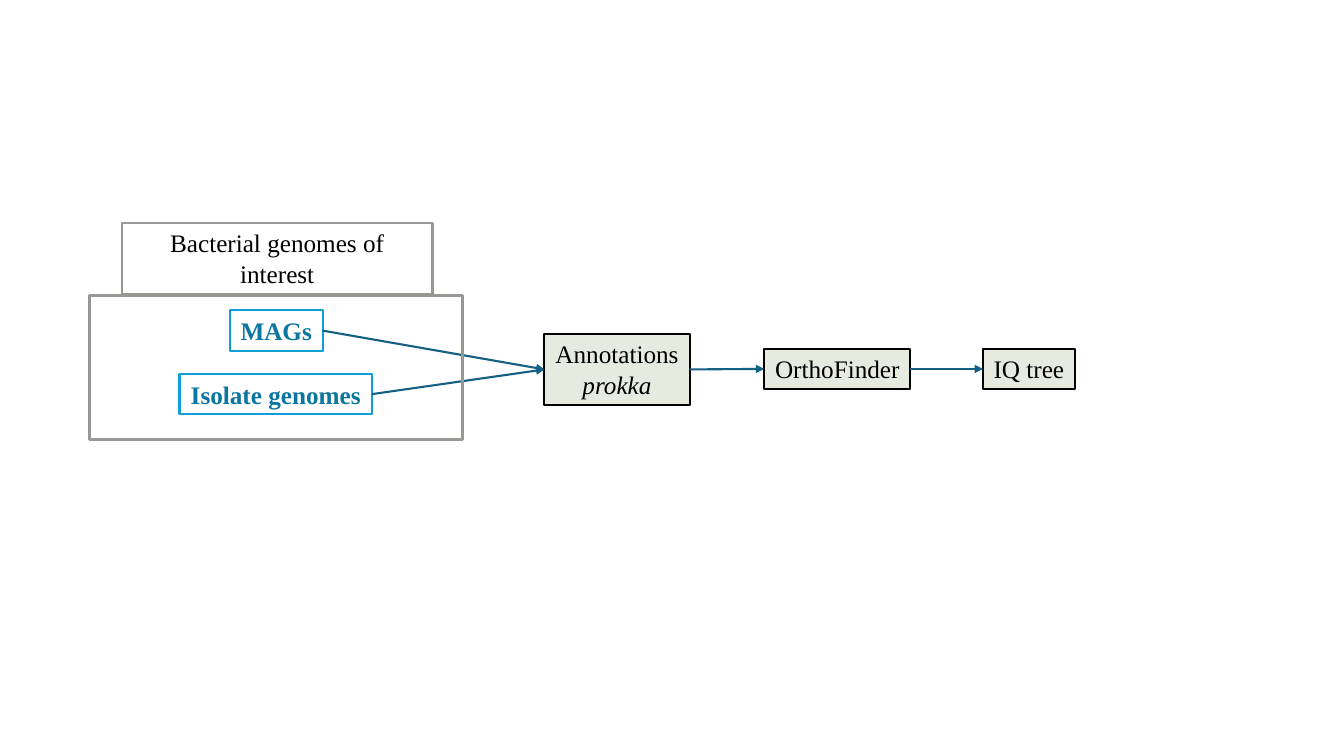
from pptx import Presentation
from pptx.dml.color import RGBColor
from pptx.enum.shapes import MSO_CONNECTOR, MSO_SHAPE
from pptx.enum.text import MSO_ANCHOR, MSO_AUTO_SIZE, PP_ALIGN
from pptx.oxml.ns import qn
from pptx.util import Inches, Pt
from lxml.etree import SubElement


def color(hex_code):
    return RGBColor.from_string(hex_code)


prs = Presentation()
prs.slide_width, prs.slide_height = Inches(13.33), Inches(7.5)
s = prs.slides.add_slide(prs.slide_layouts[6])

# Box styles: fill, line, text colour, bold, wrap
source = ("FFFFFF", "0F9ED5", "0B76A0", True, False)
step = ("E7EBDF", "000000", "000000", False, False)
heading = (None, "959893", "000000", False, True)

# Labelled boxes: lines of text, left, top, width, height, style
boxes = [
    (["MAGs"], 2.28, 3.08, 0.92, 0.4, source),
    (["Isolate genomes"], 1.78, 3.71, 1.91, 0.4, source),
    (["Annotations", "prokka"], 5.4, 3.31, 1.44, 0.71, step),
    (["OrthoFinder"], 7.58, 3.46, 1.45, 0.4, step),
    (["IQ tree"], 9.75, 3.46, 0.91, 0.4, step),
    (["Bacterial genomes of interest"], 1.21, 2.21, 3.08, 0.71, heading),
]
shapes = {}
for lines, left, top, width, height, style in boxes:
    fill, line, ink, bold, wrap = style
    sp = s.shapes.add_textbox(Inches(left), Inches(top), Inches(width), Inches(height))
    if fill:
        sp.fill.solid()
        sp.fill.fore_color.rgb = color(fill)
    sp.line.color.rgb = color(line)
    sp.line.width = Pt(1.5)
    tf = sp.text_frame
    tf.word_wrap = wrap
    tf.auto_size = MSO_AUTO_SIZE.SHAPE_TO_FIT_TEXT
    tf.vertical_anchor = MSO_ANCHOR.TOP
    for i, text in enumerate(lines):
        p = tf.add_paragraph() if i else tf.paragraphs[0]
        p.alignment = PP_ALIGN.CENTER
        r = p.add_run()
        r.text = text
        r.font.name = "Times New Roman"
        r.font.size = Pt(18)
        r.font.bold = bold
        r.font.italic = text == "prokka"
        r.font.color.rgb = color(ink)
    shapes[lines[0]] = sp

# Arrows from the right side of one box to the left side of the next
for start, end in [
    ("MAGs", "Annotations"),
    ("Isolate genomes", "Annotations"),
    ("Annotations", "OrthoFinder"),
    ("OrthoFinder", "IQ tree"),
]:
    arrow = s.shapes.add_connector(MSO_CONNECTOR.STRAIGHT, 0, 0, 0, 0)
    arrow.begin_connect(shapes[start], 3)
    arrow.end_connect(shapes[end], 1)
    arrow.line.color.rgb = color("156082")
    arrow.line.width = Pt(1.5)
    SubElement(arrow.line._get_or_add_ln(), qn("a:tailEnd"), type="triangle")
    SubElement(arrow._element.spPr, qn("a:effectLst"))

# Frame around the genome sources
frame = s.shapes.add_shape(
    MSO_SHAPE.RECTANGLE, Inches(0.89), Inches(2.93), Inches(3.7), Inches(1.43))
frame.shadow.inherit = False
frame.fill.background()
frame.line.color.rgb = color("959893")
frame.line.width = Pt(2.25)

prs.save("out.pptx")
